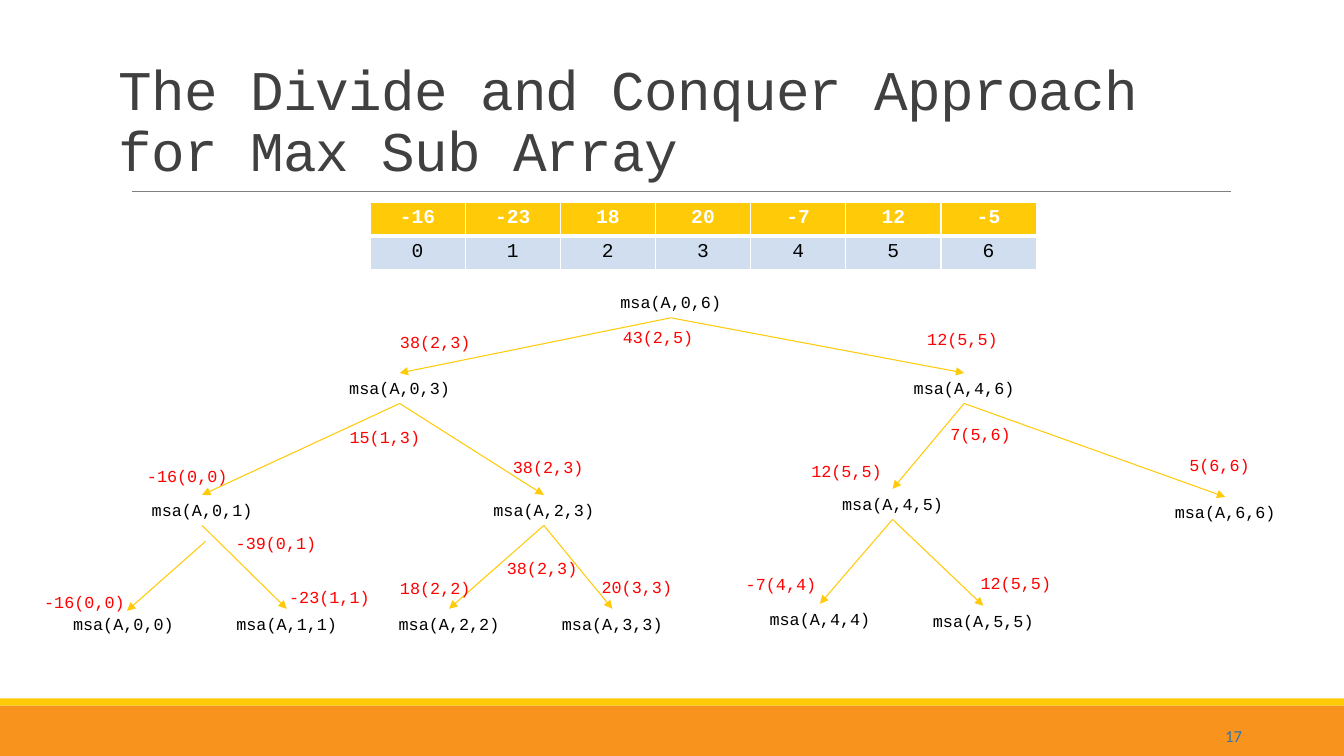
from lxml.etree import SubElement as Sub
from pptx import Presentation
from pptx.dml.color import RGBColor
from pptx.enum.shapes import MSO_CONNECTOR as Conn, MSO_SHAPE as Kind
from pptx.enum.text import MSO_ANCHOR as Anchor, PP_ALIGN as Align
from pptx.oxml.ns import qn
from pptx.util import Inches, Pt

WIDE, HIGH = 133.33, 75
MONO = "Courier New"
GOLD = RGBColor(0xFF, 0xCA, 0x08)
ORANGE = RGBColor(0xF8, 0x93, 0x1D)
PALE = RGBColor(0xD0, 0xDE, 0xEF)
GREY = RGBColor(0x80, 0x80, 0x80)
DARK = RGBColor(0x40, 0x40, 0x40)
BLUE = RGBColor(0x2E, 0x75, 0xB5)
RED = RGBColor(0xFF, 0x00, 0x00)
BLACK = RGBColor(0x00, 0x00, 0x00)
WHITE = RGBColor(0xFF, 0xFF, 0xFF)

ARRAY = [-16, -23, 18, 20, -7, 12, -5]
NODES = {
    (0, 6): (59.4, 28.5),
    (0, 3): (32.5, 37), (4, 6): (88.5, 37),
    (0, 1): (12.9, 49.1), (2, 3): (46.8, 49.1),
    (4, 5): (81.4, 48.5), (6, 6): (114.4, 49.3),
    (0, 0): (5.1, 60.4), (1, 1): (21.3, 60.4),
    (2, 2): (37.4, 60.4), (3, 3): (53.6, 60.4),
    (4, 4): (74.2, 59.9), (5, 5): (90.4, 60.1),
}
SUMS = [
    ("-16(0,0)", 3.4, 58.2), ("-23(1,1)", 27.7, 57.7),
    ("-39(0,1)", 22.4, 52.4), ("18(2,2)", 38.7, 56.8),
    ("20(3,3)", 58.7, 56.7), ("38(2,3)", 49.9, 44.8),
    ("38(2,3)", 49.3, 54.8), ("-16(0,0)", 13.6, 45.7),
    ("15(1,3)", 33.7, 41.8), ("38(2,3)", 38.7, 32.4),
    ("12(5,5)", 91, 32.1), ("12(5,5)", 79.5, 45.2),
    ("12(5,5)", 96.3, 56.3), ("-7(4,4)", 73, 56.4),
    ("7(5,6)", 93.3, 41.5), ("5(6,6)", 117, 44.6),
    ("43(2,5)", 60.8, 31.9),
]


def grid(*cells):
    """Turn grid columns or rows, ten to the inch, into lengths."""
    return [Inches(cell / 10) for cell in cells]


def write(frame, text, size=12, font=MONO, color=BLACK, bold=False,
          align=Align.LEFT, anchor=Anchor.TOP, lead=None, track=None):
    """Put one formatted paragraph in a text frame."""
    frame.word_wrap = True
    frame.vertical_anchor = anchor
    para = frame.paragraphs[0]
    para.alignment = align
    if lead:
        para.line_spacing = lead
    run = para.add_run()
    run.text = text
    run.font.size = Pt(size)
    run.font.name = font
    run.font.bold = bold
    run.font.color.rgb = color
    if track:
        run.font._element.set("spc", str(track))


def label(slide, text, left, top, wide, high=3.03, **form):
    """Add a text box."""
    box = slide.shapes.add_textbox(*grid(left, top, wide, high))
    write(box.text_frame, text, **form)
    return box


def band(slide, top, high, color):
    """Add a bar across the slide."""
    bar = slide.shapes.add_shape(Kind.RECTANGLE, *grid(0, top, WIDE, high))
    bar.shadow.inherit = False
    bar.fill.solid()
    bar.fill.fore_color.rgb = color
    bar.line.fill.background()


def line(slide, ends, color=GOLD, width=0.75, arrow=True):
    """Add a straight line with an optional arrowhead."""
    link = slide.shapes.add_connector(Conn.STRAIGHT, *grid(*ends))
    link.line.color.rgb = color
    link.line.width = Pt(width)
    if arrow:
        Sub(link.line._get_or_add_ln(), qn("a:tailEnd"), type="triangle")
    Sub(link._element.spPr, qn("a:effectLst"))
    return link


def edge(cell, side, width):
    """Give one side of a table cell a white border."""
    rule = Sub(cell._tc.get_or_add_tcPr(), qn("a:" + side),
               w=str(Pt(width)))
    Sub(Sub(rule, qn("a:solidFill")), qn("a:srgbClr"), val=str(WHITE))


def table(slide, left, top, wide, high):
    """Add the array values above their indices."""
    rows = [ARRAY, range(len(ARRAY))]
    sheet = slide.shapes.add_table(
        len(rows), len(ARRAY), *grid(left, top, wide, high)).table
    for row, nums in enumerate(rows):
        head = row == 0
        for col, num in enumerate(nums):
            cell = sheet.cell(row, col)
            for side in ("lnL", "lnR"):
                edge(cell, side, 1)
            edge(cell, "lnT", 1 if head else 3)
            edge(cell, "lnB", 3 if head else 1)
            cell.fill.solid()
            cell.fill.fore_color.rgb = GOLD if head else PALE
            write(cell.text_frame, str(num), size=14, bold=head,
                  color=WHITE if head else BLACK, align=Align.CENTER)


def tree(slide):
    """Add the calls and join each to its two halves."""
    boxes = {
        (low, top): label(slide, f"msa(A,{low},{top})", *spot, 14.3,
                          align=Align.CENTER)
        for (low, top), spot in NODES.items()}
    for (low, top), box in boxes.items():
        if low == top:
            continue
        mid = (low + top) // 2
        for half in ((low, mid), (mid + 1, top)):
            if half == (0, 0):
                line(slide, (20.4, 53.7, 12.6, 60.6))
                continue
            link = line(slide, (0, 0, 0, 0))
            link.begin_connect(box, 2)
            link.end_connect(boxes[half], 0)


def main():
    """Build the slide and save it."""
    deck = Presentation()
    deck.slide_width, deck.slide_height = grid(WIDE, HIGH)
    slide = deck.slides.add_slide(deck.slide_layouts[6])
    band(slide, 70, 5, ORANGE)
    band(slide, 69.3, 0.7, GOLD)
    line(slide, (13.1, 19, 122.1, 19), GREY, 0.5, arrow=False)
    table(slide, 36.7, 20.1, 66.1, 6.7)
    tree(slide)
    for text, left, top in SUMS:
        label(slide, text, left, top, len(text) + 2.3, color=RED)
    label(slide, "The Divide and Conquer Approach for Max Sub Array",
          10.8, 5, 115, 14.4, size=40, color=DARK, anchor=Anchor.MIDDLE,
          lead=0.9, track=-50)
    label(slide, "17", 94.2, 71, 30, 4, font="Calibri", color=BLUE,
          align=Align.RIGHT, anchor=Anchor.MIDDLE)
    deck.save("out.pptx")


if __name__ == "__main__":
    main()
